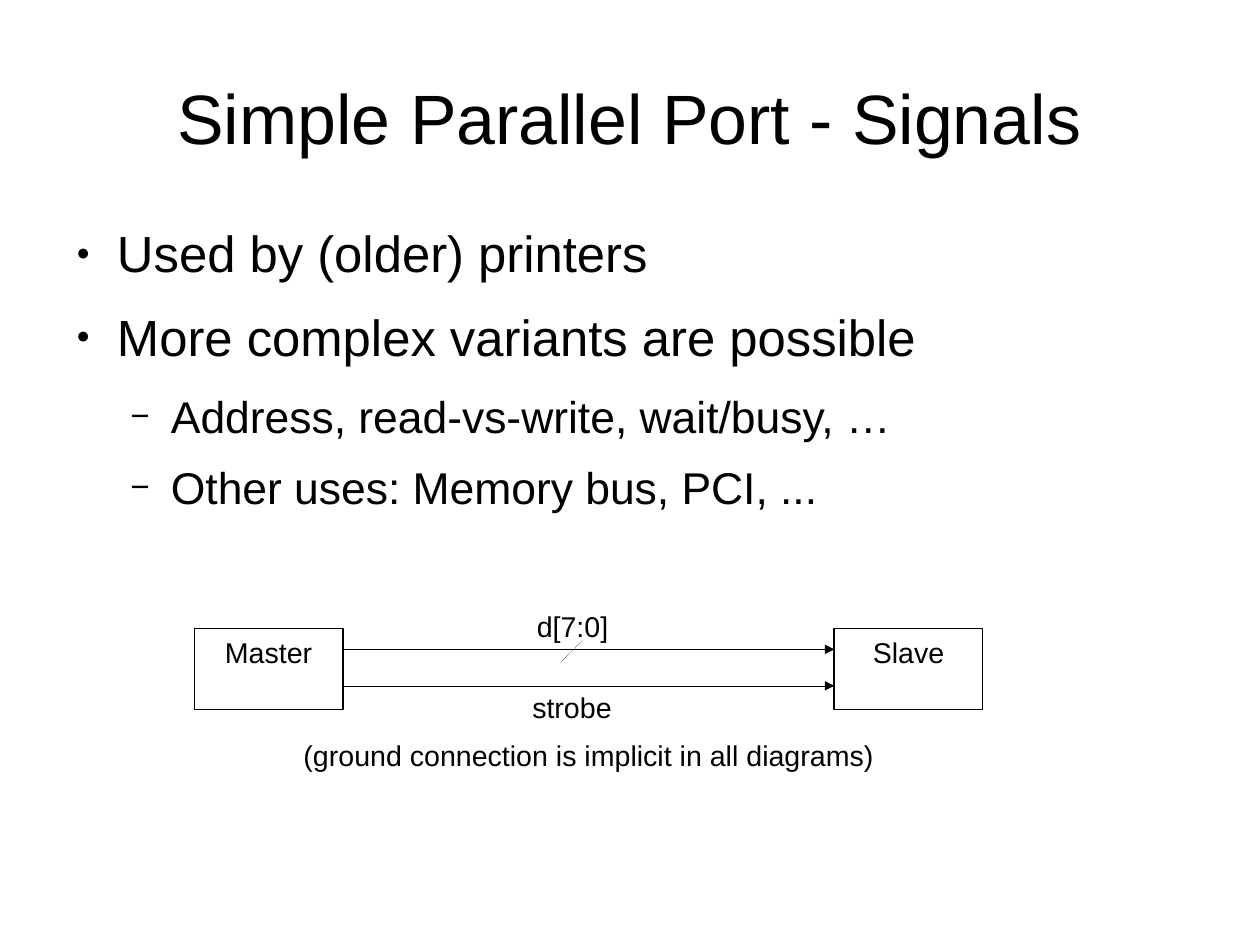
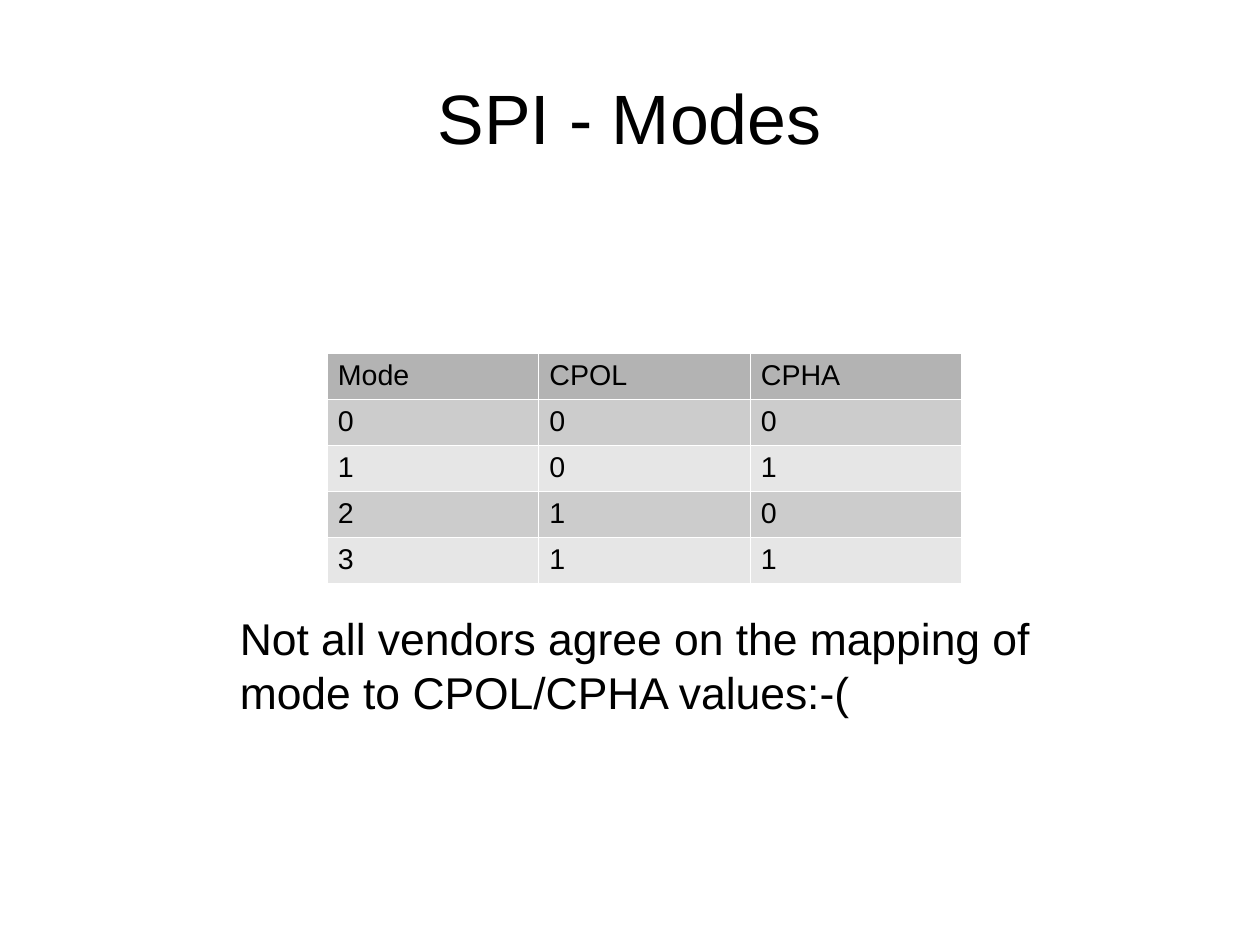
"""Builds two slides on the parallel port signals and the SPI modes."""
from lxml.etree import SubElement
from pptx import Presentation
from pptx.dml.color import RGBColor
from pptx.enum.shapes import MSO_CONNECTOR, MSO_SHAPE
from pptx.enum.text import MSO_ANCHOR, PP_ALIGN
from pptx.oxml.ns import qn
from pptx.util import Cm, Pt

FONT = "Arial"
BLACK, WHITE = "000000", "FFFFFF"
HEADER_FILL, BAND_FILLS = "B3B3B3", ("CCCCCC", "E6E6E6")
SMALL, MEDIUM, LARGE, TITLE = 18, 28, 32, 44
HAIRLINE = 0.06
INSETS = (0.25, 0.13)

SIGNALS_TITLE = "Simple Parallel Port - Signals"
BULLETS = [
    (0, "Used by (older) printers"),
    (0, "More complex variants are possible"),
    (1, "Address, read-vs-write, wait/busy, …"),
    (1, "Other uses: Memory bus, PCI, ..."),
]
LEVELS = [
    {"size": LARGE, "after": 14.2, "mark": "●", "percent": 45, "margin": 1.2},
    {"size": MEDIUM, "after": 11.3, "mark": "−", "percent": 75, "margin": 2.4},
]
HANGING = 0.9
DEVICES = [("Master", 4.32), ("Slave", 18.54)]
DEVICE_TOP, DEVICE_WIDTH, DEVICE_HEIGHT = 13.97, 3.3, 1.8
WIRE_HEIGHTS = [14.43, 15.24]
BUS_SLASH = (12.45, 14.73, 12.95, 14.22)
WIRE_LABELS = [
    ("d[7:0]", (11.68, 13.41, 2.6, 0.97)),
    ("strobe", (11.58, 15.21, 2.6, 0.97)),
]
GROUND_NOTE = "(ground connection is implicit in all diagrams)"

MODES_TITLE = "SPI - Modes"
MODES = [
    ("Mode", "CPOL", "CPHA"),
    ("0", "0", "0"),
    ("1", "0", "1"),
    ("2", "1", "0"),
    ("3", "1", "1"),
]
COLUMN_WIDTH, ROW_HEIGHT = 4.7, 0.97
MODES_NOTE = [
    "Not all vendors agree on the mapping of",
    "mode to CPOL/CPHA values:-(",
]


def color(value):
    return RGBColor.from_string(value)


def style(paragraph, size, align=PP_ALIGN.LEFT):
    paragraph.alignment = align
    paragraph.font.name = FONT
    paragraph.font.size = Pt(size)
    paragraph.font.bold = False
    paragraph.font.color.rgb = color(BLACK)


def fill_text(shape, lines, size, align=PP_ALIGN.LEFT, insets=INSETS,
              anchor=MSO_ANCHOR.TOP):
    frame = shape.text_frame
    frame.word_wrap = True
    frame.vertical_anchor = anchor
    frame.margin_left = frame.margin_right = Cm(insets[0])
    frame.margin_top = frame.margin_bottom = Cm(insets[1])
    frame.text = "\n".join(lines)
    for paragraph in frame.paragraphs:
        style(paragraph, size, align)


def add_text(slide, box, lines, size, **options):
    shape = slide.shapes.add_textbox(*map(Cm, box))
    fill_text(shape, lines, size, **options)
    return shape


def add_titled_slide(presentation, title):
    slide = presentation.slides.add_slide(presentation.slide_layouts[6])
    add_text(slide, (1.4, 0.84, 25.2, 3.5), [title], TITLE,
             align=PP_ALIGN.CENTER, insets=(0, 0), anchor=MSO_ANCHOR.MIDDLE)
    return slide


def add_bullets(slide):
    shape = add_text(slide, (1.4, 4.93, 25.2, 12.17),
                     [text for _, text in BULLETS], LARGE, insets=(0, 0))
    for paragraph, (number, _) in zip(shape.text_frame.paragraphs, BULLETS):
        level = LEVELS[number]
        paragraph.level = number
        paragraph.font.size = Pt(level["size"])
        paragraph.space_after = Pt(level["after"])
        properties = paragraph.font._element.getparent()
        properties.set("marL", str(Cm(level["margin"])))
        properties.set("indent", str(-Cm(HANGING)))
        size = SubElement(properties, qn("a:buSzPct"), val=str(level["percent"] * 1000))
        font = SubElement(properties, qn("a:buFont"), typeface=FONT)
        mark = SubElement(properties, qn("a:buChar"), char=level["mark"])
        for element in (size, font, mark):
            paragraph.font._element.addprevious(element)


def add_device(slide, name, left):
    shape = slide.shapes.add_shape(
        MSO_SHAPE.RECTANGLE, *map(Cm, (left, DEVICE_TOP, DEVICE_WIDTH, DEVICE_HEIGHT)))
    shape.shadow.inherit = False
    shape.fill.background()
    shape.line.color.rgb = color(BLACK)
    shape.line.width = Pt(1)
    fill_text(shape, [name], SMALL, align=PP_ALIGN.CENTER, insets=(0.28, 0.15))


def add_line(slide, ends, arrow=False):
    line = slide.shapes.add_connector(MSO_CONNECTOR.STRAIGHT, *map(Cm, ends))
    line.line.color.rgb = color(BLACK)
    line.line.width = Pt(HAIRLINE)
    if arrow:
        SubElement(line.line._get_or_add_ln(), qn("a:tailEnd"), type="triangle")
    SubElement(line._element.spPr, qn("a:effectLst"))


def add_signal_diagram(slide):
    for name, left in DEVICES:
        add_device(slide, name, left)
    start, end = DEVICES[0][1] + DEVICE_WIDTH, DEVICES[1][1]
    for height in WIRE_HEIGHTS:
        add_line(slide, (start, height, end, height), arrow=True)
    add_line(slide, BUS_SLASH)
    for label, box in WIRE_LABELS:
        add_text(slide, box, [label], SMALL)
    add_text(slide, (4.57, 16.26, 17.02, 0.97), [GROUND_NOTE], SMALL,
             align=PP_ALIGN.CENTER)


def style_cell(cell, fill):
    properties = cell._tc.get_or_add_tcPr()
    for side in ("lnL", "lnR", "lnT", "lnB"):
        border = SubElement(properties, qn(f"a:{side}"), w=str(Pt(HAIRLINE)))
        paint = SubElement(border, qn("a:solidFill"))
        SubElement(paint, qn("a:srgbClr"), val=WHITE)
    cell.fill.solid()
    cell.fill.fore_color.rgb = color(fill)
    cell.margin_left = cell.margin_right = Cm(INSETS[0])
    cell.margin_top = cell.margin_bottom = Cm(INSETS[1])
    style(cell.text_frame.paragraphs[0], SMALL)


def add_modes_table(slide):
    rows, columns = len(MODES), len(MODES[0])
    size = (columns * COLUMN_WIDTH, rows * ROW_HEIGHT)
    table = slide.shapes.add_table(rows, columns, *map(Cm, (7.26, 7.85, *size))).table
    table.first_row = table.horz_banding = False
    for row, values in enumerate(MODES):
        fill = BAND_FILLS[(row - 1) % 2] if row else HEADER_FILL
        for column, value in enumerate(values):
            cell = table.cell(row, column)
            cell.text = value
            style_cell(cell, fill)


def main():
    presentation = Presentation()
    presentation.slide_width, presentation.slide_height = Cm(28), Cm(21)
    signals = add_titled_slide(presentation, SIGNALS_TITLE)
    add_bullets(signals)
    add_signal_diagram(signals)
    modes = add_titled_slide(presentation, MODES_TITLE)
    add_modes_table(modes)
    add_text(modes, (5.08, 13.46, 18.29, 4.83), MODES_NOTE, MEDIUM)
    presentation.save("out.pptx")


if __name__ == "__main__":
    main()
